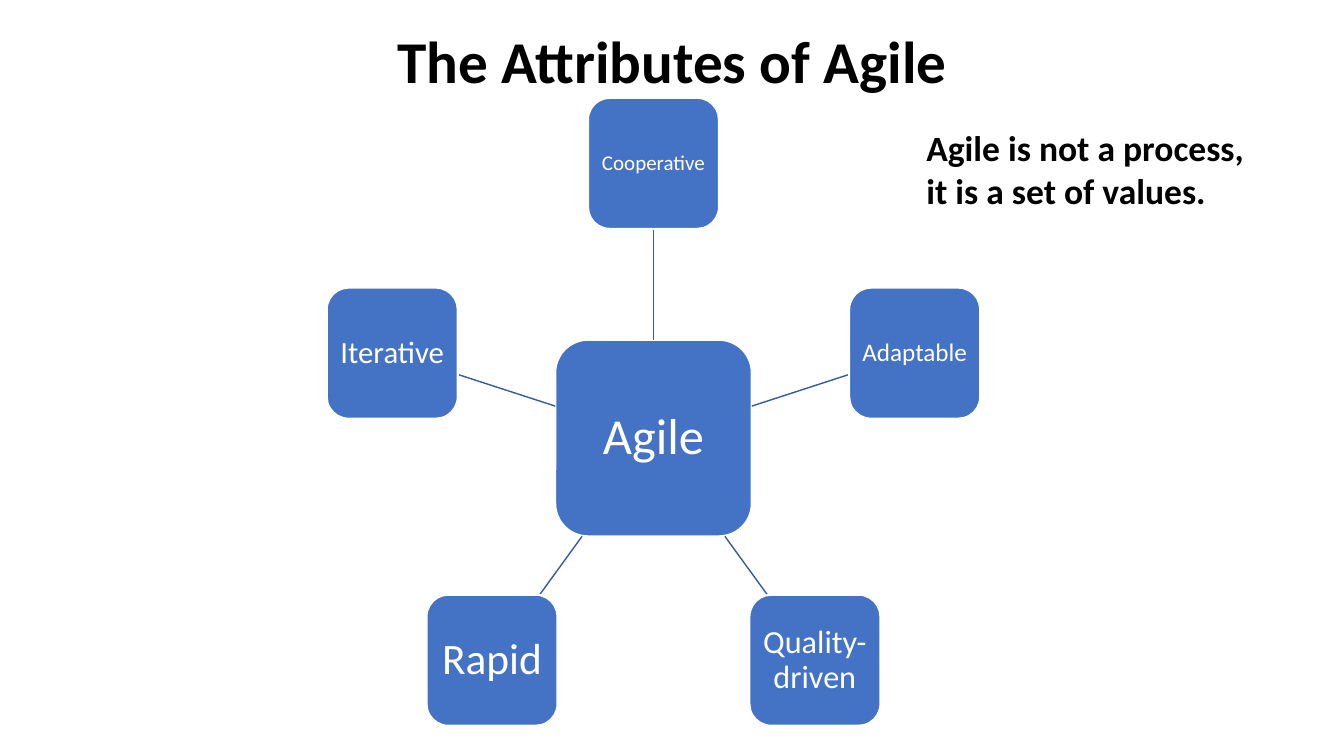
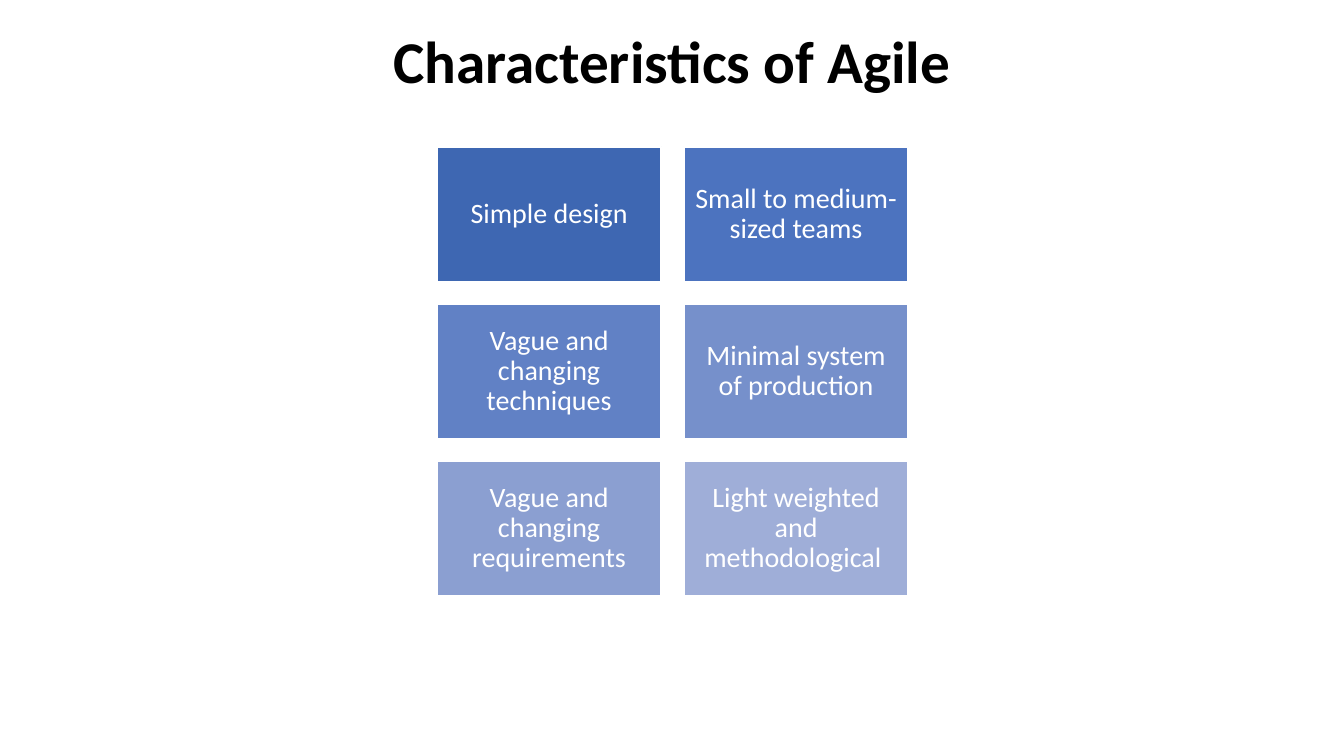
import math
from dataclasses import dataclass

import pptx
import pptx.dml.color
import pptx.enum.shapes
import pptx.enum.text
import pptx.oxml.ns
import pptx.oxml.xmlchemy
import pptx.presentation
import pptx.shapes.autoshape
import pptx.shapes.connector
import pptx.slide
import pptx.text.text
import pptx.util

COLORS = {"text": "000000", "paper": "FFFFFF", "node": "4472C4", "spoke": "365B9D"}
SHADES = ["3E67B2", "4C73BF", "6181C5", "7690CB", "8B9FD1", "9FAED8"]
FONT = "Calibri"
WIDTH = pptx.util.Inches(40 / 3)
HEIGHT = pptx.util.Inches(7.5)
UNIT = WIDTH / 160
ROUNDED = pptx.enum.shapes.MSO_SHAPE.ROUNDED_RECTANGLE
RECTANGLE = pptx.enum.shapes.MSO_SHAPE.RECTANGLE
CENTER = pptx.enum.text.PP_ALIGN.CENTER
MIDDLE = pptx.enum.text.MSO_ANCHOR.MIDDLE


@dataclass(frozen=True)
class Area:
    column: float
    row: float
    columns: float
    rows: float

    def lengths(self) -> list[int]:
        return [grid(value) for value in (self.column, self.row, self.columns, self.rows)]


@dataclass(frozen=True)
class Label:
    text: str
    size: float
    margin_share: float


TITLE_AREA = Area(5, 2, 150, 10.3)
NOTE_AREA = Area(109.1, 14.4, 40.8, 11.5)

HUB_CENTER = (77.8, 52.15)
HUB_SIDE = 23.4
SATELLITE_SIDE = 15.6
ORBIT = 32.7
HUB = Label("Agile", 36, 0.2)
ATTRIBUTES = [
    Label("Cooperative", 15, 0.2),
    Label("Adaptable", 18, 0.2),
    Label("Quality-driven", 23, 0.2),
    Label("Rapid", 31, 0.2),
    Label("Iterative", 22, 0.2),
]

CELLS = Area(52, 17.5, 26.75, 16.05)
CELL_GAP = 2.65
CELL_COLUMNS = 2
CHARACTERISTICS = [
    "Simple design",
    "Small to medium-sized teams",
    "Vague and changing techniques",
    "Minimal system of production",
    "Vague and changing requirements",
    "Light weighted and methodological ",
]


def grid(value: float) -> int:
    return round(value * UNIT)


def color(code: str) -> pptx.dml.color.RGBColor:
    return pptx.dml.color.RGBColor.from_string(code)


def style(para: pptx.text.text._Paragraph, size: float, code: str, bold: bool = False) -> None:
    para.font.name = FONT
    para.font.size = pptx.util.Pt(size)
    para.font.bold = bold
    para.font.color.rgb = color(code)


def add_page(deck: pptx.presentation.Presentation, title: str) -> pptx.slide.Slide:
    page = deck.slides.add_slide(deck.slide_layouts[5])
    box = page.shapes.title
    box.left, box.top, box.width, box.height = TITLE_AREA.lengths()
    frame = box.text_frame
    frame.text = title
    frame.vertical_anchor = MIDDLE
    frame.auto_size = pptx.enum.text.MSO_AUTO_SIZE.NONE
    frame.paragraphs[0].alignment = CENTER
    style(frame.paragraphs[0], 42.3, COLORS["text"], True)
    return page


def add_box(
    page: pptx.slide.Slide,
    kind: pptx.enum.shapes.MSO_SHAPE,
    area: Area,
    fill: str,
    label: Label,
) -> pptx.shapes.autoshape.Shape:
    box = page.shapes.add_shape(kind, *area.lengths())
    box.shadow.inherit = False
    box.fill.solid()
    box.fill.fore_color.rgb = color(fill)
    box.line.color.rgb = color(COLORS["paper"])
    box.line.width = pptx.util.Pt(1.5)
    frame = box.text_frame
    frame.word_wrap = True
    frame.vertical_anchor = MIDDLE
    margin = pptx.util.Pt(label.size * label.margin_share)
    frame.margin_left = frame.margin_right = margin
    frame.margin_top = frame.margin_bottom = margin
    frame.text = label.text
    para = frame.paragraphs[0]
    para.alignment = CENTER
    para.line_spacing = 0.9
    style(para, label.size, COLORS["paper"])
    return box


def add_node(
    page: pptx.slide.Slide, center: tuple[float, float], side: float, label: Label
) -> pptx.shapes.autoshape.Shape:
    area = Area(center[0] - side / 2, center[1] - side / 2, side, side)
    return add_box(page, ROUNDED, area, COLORS["node"], label)


def add_spoke(
    page: pptx.slide.Slide, start: tuple[float, float], end: tuple[float, float]
) -> pptx.shapes.connector.Connector:
    spoke = page.shapes.add_connector(
        pptx.enum.shapes.MSO_CONNECTOR.STRAIGHT, *map(grid, start + end)
    )
    spoke.line.color.rgb = color(COLORS["spoke"])
    spoke.line.width = pptx.util.Pt(1)
    properties = spoke._element.find(pptx.oxml.ns.qn("p:spPr"))
    properties.append(pptx.oxml.xmlchemy.OxmlElement("a:effectLst"))
    return spoke


def along(angle: float, distance: float) -> tuple[float, float]:
    return (
        HUB_CENTER[0] + distance * math.sin(angle),
        HUB_CENTER[1] - distance * math.cos(angle),
    )


def draw_attributes(page: pptx.slide.Slide) -> None:
    hub = add_node(page, HUB_CENTER, HUB_SIDE, HUB)
    for index, label in enumerate(ATTRIBUTES):
        angle = math.tau * index / len(ATTRIBUTES)
        reach = 2 * max(abs(math.sin(angle)), abs(math.cos(angle)))
        start = along(angle, HUB_SIDE / reach)
        end = along(angle, ORBIT - SATELLITE_SIDE / reach)
        spoke = add_spoke(page, start, end)
        satellite = add_node(page, along(angle, ORBIT), SATELLITE_SIDE, label)
        if index == 0:
            spoke.begin_connect(hub, 0)
            spoke.end_connect(satellite, 2)


def draw_note(page: pptx.slide.Slide, text: str) -> None:
    box = page.shapes.add_textbox(*NOTE_AREA.lengths())
    box.text_frame.word_wrap = True
    box.text_frame.text = text
    style(box.text_frame.paragraphs[0], 25.4, COLORS["text"], True)


def draw_characteristics(page: pptx.slide.Slide) -> None:
    for index, (text, shade) in enumerate(zip(CHARACTERISTICS, SHADES)):
        row, column = divmod(index, CELL_COLUMNS)
        area = Area(
            CELLS.column + column * (CELLS.columns + CELL_GAP),
            CELLS.row + row * (CELLS.rows + CELL_GAP),
            CELLS.columns,
            CELLS.rows,
        )
        add_box(page, RECTANGLE, area, shade, Label(text, 20, 0.3))


def main() -> None:
    deck = pptx.Presentation()
    deck.slide_width, deck.slide_height = WIDTH, HEIGHT
    page = add_page(deck, "The Attributes of Agile")
    draw_note(page, "Agile is not a process, it is a set of values.")
    draw_attributes(page)
    draw_characteristics(add_page(deck, "Characteristics of Agile"))
    deck.save("out.pptx")


if __name__ == "__main__":
    main()
